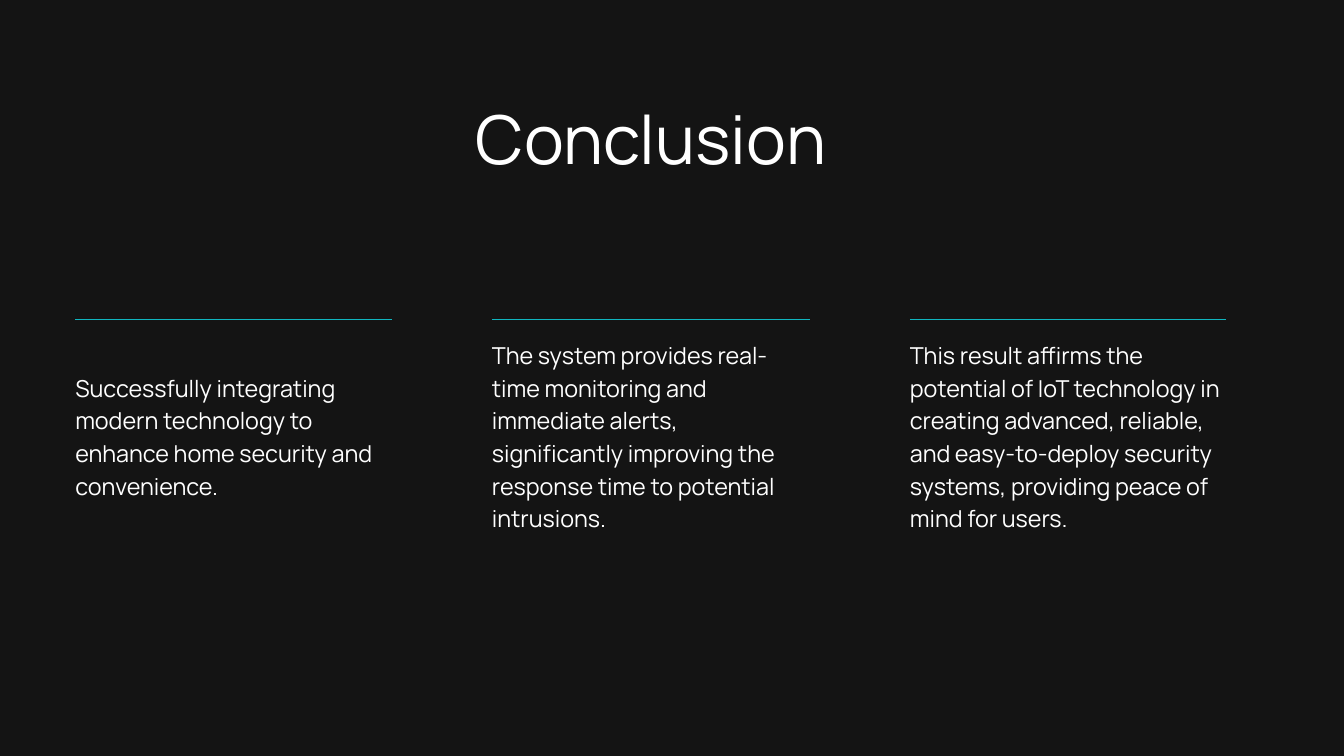
"""Build the three-column conclusion slide of a home security presentation."""
import dataclasses

import lxml.etree
import pptx
import pptx.dml.color
import pptx.enum.text
import pptx.oxml.ns
import pptx.util


@dataclasses.dataclass(frozen=True)
class Theme:
    background: str = "141414"
    text: str = "FFFFFF"
    accent: str = "10B5BF"
    font: str = "Manrope"
    title_size: float = 72.1
    title_leading: float = 86.5
    body_size: float = 25
    body_leading: float = 35
    rule_width: float = 1.5


def add_text(paragraph, text, size, leading):
    paragraph.line_spacing = pptx.util.Pt(leading)
    run = paragraph.add_run()
    run.text = text
    run.font.name = theme.font
    run.font.size = pptx.util.Pt(size)
    run.font.color.rgb = pptx.dml.color.RGBColor.from_string(theme.text)


def set_borders(cell, ruled_side):
    properties = cell._tc.get_or_add_tcPr()
    qn = pptx.oxml.ns.qn
    for index, side in enumerate(("lnL", "lnR", "lnT", "lnB")):
        line = lxml.etree.Element(qn(f"a:{side}"))
        if side == ruled_side:
            line.set("w", str(pptx.util.Pt(theme.rule_width)))
            fill = lxml.etree.SubElement(line, qn("a:solidFill"))
            lxml.etree.SubElement(fill, qn("a:srgbClr"), val=theme.accent)
        else:
            line.set("w", "0")
            lxml.etree.SubElement(line, qn("a:noFill"))
        properties.insert(index, line)


theme = Theme()
Inches = pptx.util.Inches
conclusions = (
    "Successfully integrating modern technology to enhance home security and convenience.",
    "The system provides real-time monitoring and immediate alerts, significantly improving "
    "the response time to potential intrusions.",
    "This result affirms the potential of IoT technology in creating advanced, reliable, "
    "and easy-to-deploy security systems, providing peace of mind for users.",
)
column_widths = (4.71, 1.49, 4.73, 1.49, 4.71)
row_heights = (1.76, 3.5)

presentation = pptx.Presentation()
presentation.slide_width = Inches(20)
presentation.slide_height = Inches(11.25)
slide = presentation.slides.add_slide(presentation.slide_layouts[6])
slide.background.fill.solid()
slide.background.fill.fore_color.rgb = pptx.dml.color.RGBColor.from_string(theme.background)

table = slide.shapes.add_table(
    len(row_heights), len(column_widths),
    Inches(1.12), Inches(2.99), Inches(sum(column_widths)), Inches(sum(row_heights)),
).table
table.first_row = False
table.horz_banding = False
for column, width in zip(table.columns, column_widths):
    column.width = Inches(width)
for row, height in zip(table.rows, row_heights):
    row.height = Inches(height)

for row_index, ruled_side in enumerate(("lnB", "lnT")):
    for column_index in range(len(column_widths)):
        cell = table.cell(row_index, column_index)
        cell.fill.background()
        cell.margin_left = cell.margin_right = cell.margin_top = cell.margin_bottom = 0
        cell.vertical_anchor = pptx.enum.text.MSO_ANCHOR.MIDDLE
        set_borders(cell, ruled_side if column_index % 2 == 0 else None)

for index, conclusion in enumerate(conclusions):
    paragraph = table.cell(1, 2 * index).text_frame.paragraphs[0]
    add_text(paragraph, conclusion, theme.body_size, theme.body_leading)

title = slide.shapes.add_textbox(Inches(2.38), Inches(1.44), Inches(14.62), Inches(1.26))
title_frame = title.text_frame
title_frame.word_wrap = True
title_frame.auto_size = pptx.enum.text.MSO_AUTO_SIZE.SHAPE_TO_FIT_TEXT
title_frame.margin_left = title_frame.margin_right = 0
title_frame.margin_top = title_frame.margin_bottom = 0
title_paragraph = title_frame.paragraphs[0]
title_paragraph.alignment = pptx.enum.text.PP_ALIGN.CENTER
add_text(title_paragraph, "Conclusion", theme.title_size, theme.title_leading)

presentation.save("out.pptx")
